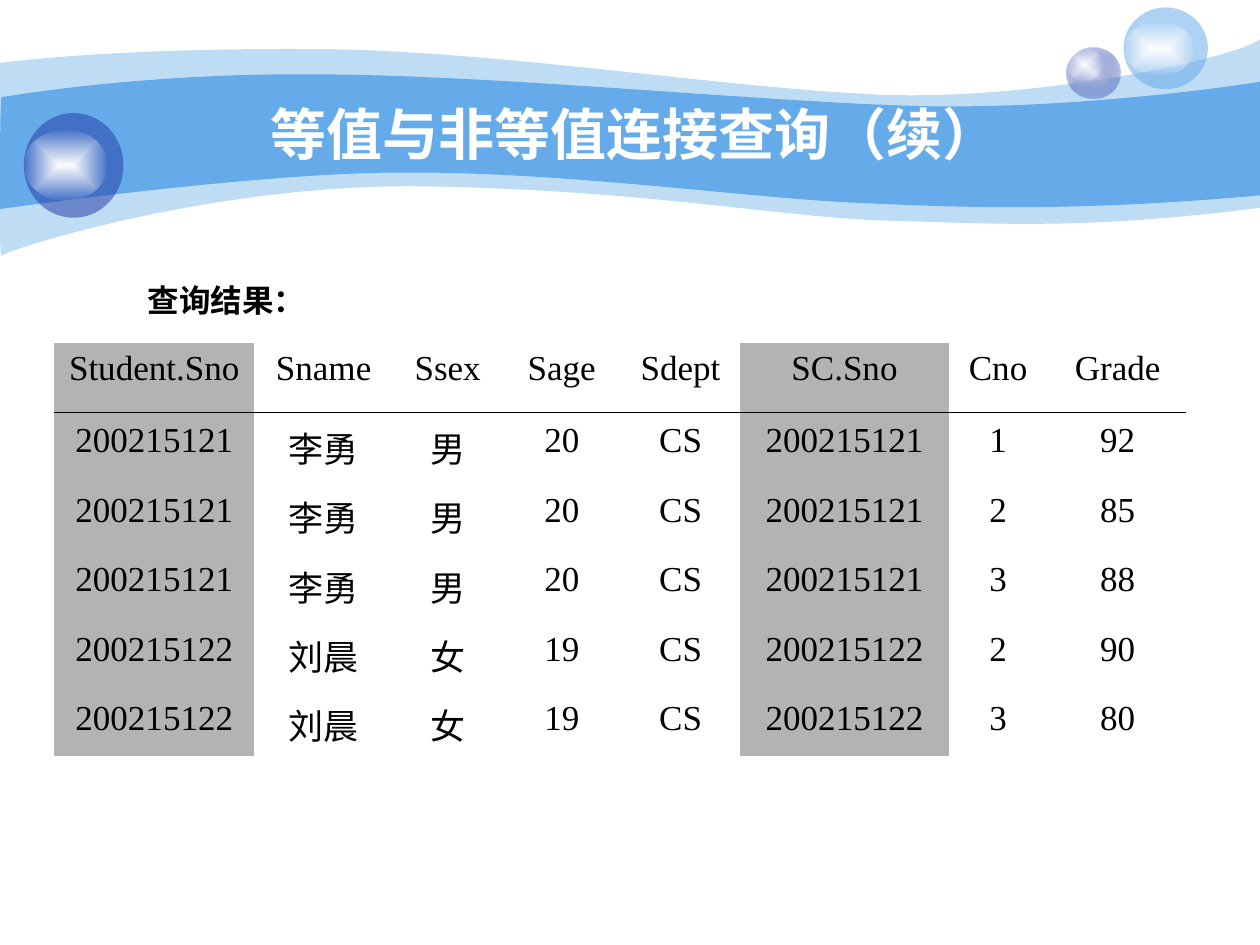
import pptx
import pptx.util
import pptx.dml.color
import pptx.enum.shapes
import pptx.enum.text
import pptx.oxml
import pptx.oxml.ns

Cm = pptx.util.Cm
qn = pptx.oxml.ns.qn
Align = pptx.enum.text.PP_ALIGN
Anchor = pptx.enum.text.MSO_ANCHOR
OVAL = pptx.enum.shapes.MSO_SHAPE.OVAL
NS = pptx.oxml.ns.nsdecls("a")
PLAIN = "{2D5ABB26-0587-4C30-8999-92F81FD0307C}"

HUE = {"sky": "65AAE9", "navy": "233DA9", "pale": "C7CEE9",
       "white": "FFFFFF", "black": "000000", "gray": "B3B3B3"}

# Each wave: a start point, then curves (six numbers) or lines (two), in cm.
OUTER = [(0, 1.27), (0.61, 1.19, 2.72, 0.97, 6.27, 0.99),
         (9.8, 0.99, 14.61, 1.78, 17.75, 1.91),
         (20.88, 2.03, 24.89, 1.19, 25.4, 0.79), (25.4, 4.19),
         (21.79, 4.65, 19.99, 4.5, 17.91, 4.45),
         (15.8, 4.39, 13.08, 3.84, 8.71, 3.76),
         (4.37, 3.66, 0.1, 5.05, 0.03, 5.16),
         (-0.03, 5.28, 0, 1.91, 0, 1.27)]
INNER = [(0.03, 1.96), (0.05, 1.96, 2.79, 1.47, 6.3, 1.5),
         (9.8, 1.5, 15.11, 2.03, 18.24, 2.13),
         (21.36, 2.24, 24.79, 1.75, 25.4, 1.65), (25.4, 3.94),
         (21.67, 4.27, 19.43, 4.19, 17.32, 4.09),
         (15.21, 4.01, 11.35, 3.45, 8.05, 3.48),
         (5.16, 3.48, -0.05, 4.22, -0.03, 4.22),
         (0, 4.22, 0, 1.96, 0.03, 1.96)]

HEAD = ["Student.Sno", "Sname", "Ssex", "Sage", "Sdept",
        "SC.Sno", "Cno", "Grade"]
LI = ("200215121", "李勇", "男", "20", "CS")
LIU = ("200215122", "刘晨", "女", "19", "CS")
MARKS = [(LI, "1", "92"), (LI, "2", "85"), (LI, "3", "88"),
         (LIU, "2", "90"), (LIU, "3", "80")]
COLS = [4.04, 2.79, 2.21, 2.39, 2.4, 4.21, 1.98, 2.84]
ROWS = [1.45] + [1.4] * 4 + [1.27]


def rgb(name):
    return pptx.dml.color.RGBColor.from_string(HUE[name])


def write(frame, text, size=20, font="Times New Roman", hue="black", bold=False):
    """Put one centred line of text into a text frame."""
    para = frame.paragraphs[0]
    para.alignment = Align.CENTER
    run = para.add_run()
    run.text = text
    run.font.size = pptx.util.Pt(size)
    run.font.name = font
    run.font.bold = bold
    run.font.color.rgb = rgb(hue)


def tint(name, alpha):
    return (f'<a:srgbClr val="{HUE[name]}">'
            f'<a:alpha val="{alpha * 1000}"/></a:srgbClr>')


def paint(shape, *tones):
    """Fill with one (hue, alpha) tone, or blend two from the centre out."""
    shape.shadow.inherit = False
    shape.line.fill.background()
    if len(tones) == 1:
        xml = f"<a:solidFill {NS}>{tint(*tones[0])}</a:solidFill>"
    else:
        stops = "".join(f'<a:gs pos="{pos}">{tint(*tone)}</a:gs>'
                        for pos, tone in zip((0, 100000), tones))
        xml = (f'<a:gradFill {NS} rotWithShape="1"><a:gsLst>{stops}</a:gsLst>'
               '<a:path path="rect"><a:fillToRect l="50000" t="50000" '
               'r="50000" b="50000"/></a:path></a:gradFill>')
    shape.fill.background()
    old = shape.element.spPr.find(qn("a:noFill"))
    old.getparent().replace(old, pptx.oxml.parse_xml(xml))


def bend(shape, route):
    """Join the line steps of each six-number part into one curve."""
    steps = iter(shape.element.findall(".//" + qn("a:lnTo")))
    for part in route[1:]:
        trio = [next(steps) for _ in range(len(part) // 2)]
        if len(trio) == 3:
            curve = pptx.oxml.parse_xml(f"<a:cubicBezTo {NS}/>")
            trio[0].addprevious(curve)
            for step in trio:
                curve.append(step[0])
                step.getparent().remove(step)


def wave(slide, left, top, route, alpha):
    spots = [(Cm(left + x), Cm(top + y)) for part in route
             for x, y in zip(part[::2], part[1::2])]
    pen = slide.shapes.build_freeform(*spots[0])
    pen.add_line_segments(spots[1:], close=False)
    shape = pen.convert_to_shape()
    bend(shape, route)
    shape.element.find(".//" + qn("a:path")).append(
        pptx.oxml.parse_xml(f"<a:close {NS}/>"))
    paint(shape, ("sky", alpha))


def ball(slide, left, top, wide, high, shine, *tones):
    """Draw a ball; shine is the drop, width and height of its highlight."""
    group = slide.shapes.add_group_shape()
    body = group.shapes.add_shape(OVAL, Cm(left), Cm(top), Cm(wide), Cm(high))
    paint(body, *tones)
    drop, broad, tall = shine
    glow = group.shapes.add_shape(OVAL, Cm(left), Cm(top + drop),
                                  Cm(broad), Cm(tall))
    paint(glow, ("white", 100), ("white", 0))


def banner(slide, left, top):
    wave(slide, left, top, OUTER, 41)
    wave(slide, left, top, INNER, 100)
    ball(slide, left + 21.51, top + 0.96, 1.07, 1.02, (0, 0.71, 0.69),
         ("pale", 100), ("navy", 31))
    ball(slide, left + 22.65, top + 0.15, 1.7, 1.65, (0.28, 1.42, 1.09),
         ("sky", 53))
    ball(slide, left + 0.48, top + 2.28, 2.01, 2.11, (0.34, 1.68, 1.42),
         ("navy", 53))


def label(slide, left, top, wide, high, text, wrap=True, **style):
    box = slide.shapes.add_textbox(Cm(left), Cm(top), Cm(wide), Cm(high))
    box.text_frame.word_wrap = wrap
    box.text_frame.vertical_anchor = Anchor.MIDDLE
    write(box.text_frame, text, **style)


def grid(slide, left, top):
    """Draw the result table with a rule under its head."""
    data = [HEAD] + [[*who, who[0], *mark] for who, *mark in MARKS]
    frame = slide.shapes.add_table(len(ROWS), len(COLS), Cm(left), Cm(top),
                                   Cm(sum(COLS)), Cm(sum(ROWS)))
    frame.element.find(".//" + qn("a:tableStyleId")).text = PLAIN
    table = frame.table
    table.first_row = table.horz_banding = False
    for col, wide in zip(table.columns, COLS):
        col.width = Cm(wide)
    for row, high, texts in zip(table.rows, ROWS, data):
        row.height = Cm(high)
        for cell, text, head in zip(row.cells, texts, HEAD):
            write(cell.text_frame, text)
            if head.endswith(".Sno"):
                cell.fill.solid()
                cell.fill.fore_color.rgb = rgb("gray")
            else:
                cell.fill.background()
    level = Cm(top + 1.4)
    rule = slide.shapes.add_connector(
        pptx.enum.shapes.MSO_CONNECTOR.STRAIGHT,
        Cm(left), level, Cm(left + 22.81), level)
    rule.line.color.rgb = rgb("black")
    rule.line.width = pptx.util.Pt(0.75)
    rule.element.spPr.append(pptx.oxml.parse_xml(f"<a:effectLst {NS}/>"))


def main():
    deck = pptx.Presentation()
    deck.slide_width, deck.slide_height = Cm(25.4), Cm(19.05)
    slide = deck.slides.add_slide(deck.slide_layouts[6])
    banner(slide, 0, 0)
    label(slide, 2.54, 1.9, 20.52, 1.57, "等值与非等值连接查询（续）",
          size=32, font="Arial", hue="white", bold=True)
    grid(slide, 1.09, 6.92)
    label(slide, 1.77, 5.53, 5.59, 1.02, "查询结果：", wrap=False,
          size=18, bold=True)
    deck.save("out.pptx")


if __name__ == "__main__":
    main()
